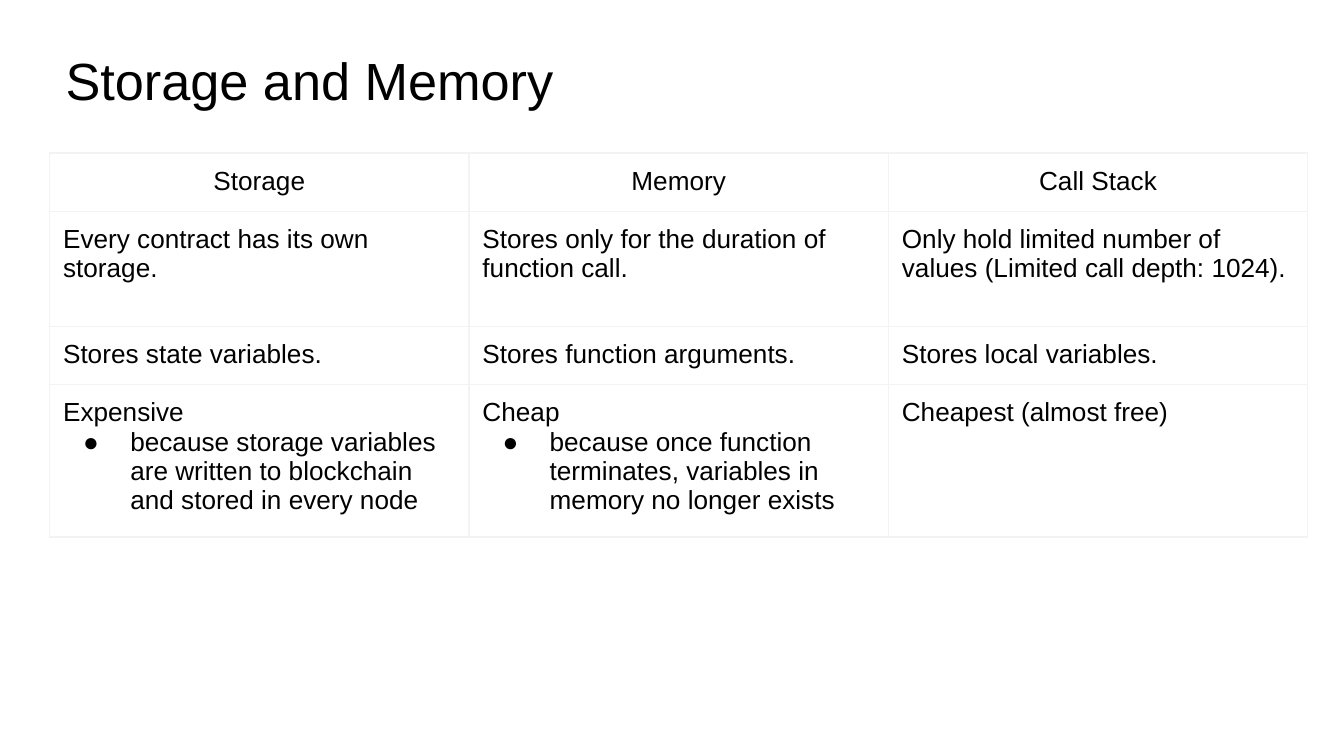
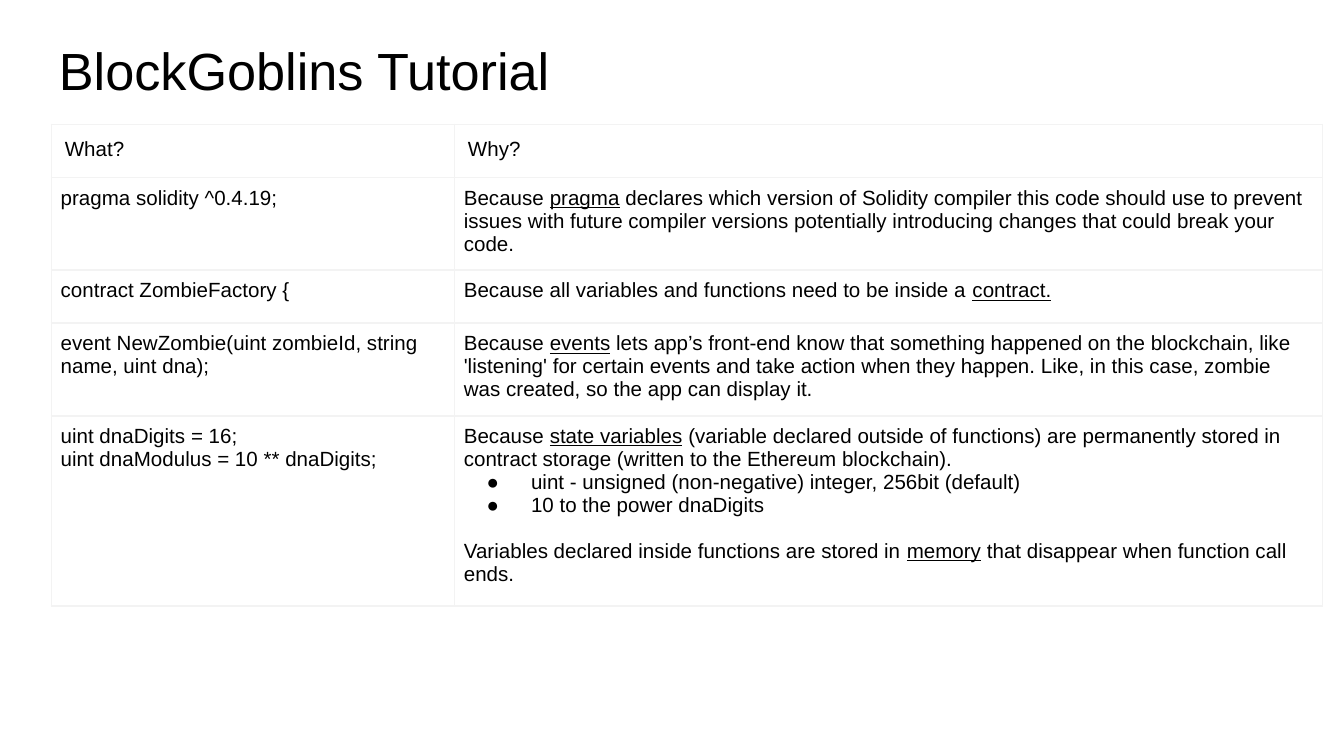
from lxml import etree
from pptx import Presentation
from pptx.dml.color import RGBColor
from pptx.enum.text import MSO_ANCHOR, PP_ALIGN
from pptx.oxml.ns import qn
from pptx.util import Pt

LEFT, CENTER, TOP = PP_ALIGN.LEFT, PP_ALIGN.CENTER, MSO_ANCHOR.TOP
BLACK = RGBColor(0, 0, 0)
WHITE = RGBColor(255, 255, 255)
GREY = RGBColor(0xF3, 0xF3, 0xF3)
FONT = "Arial"
BULLET, GAP = "● ", "^ "

# Content: _word_ is underlined, BULLET opens a list item,
# GAP opens a paragraph set off from the one above, \n breaks a line
SLIDES = [
    dict(
        title="Storage and Memory", spot=(28.1, 15.8),
        table=(26.6, 82), cols=[224.7] * 3, tall=[30, 61.6, 30, 77.7],
        size=14, hang=25.2, pad=7.2, head=CENTER, line=0.75,
        rows=[
            ["Storage", "Memory", "Call Stack"],
            ["Every contract has its own storage.",
             "Stores only for the duration of function call.",
             "Only hold limited number of values (Limited call depth: 1024)."],
            ["Stores state variables.", "Stores function arguments.",
             "Stores local variables."],
            [("Expensive",
              "● because storage variables are written to blockchain "
              "and stored in every node"),
             ("Cheap",
              "● because once function terminates, variables in memory "
              "no longer exists"),
             "Cheapest (almost free)"],
        ]),
    dict(
        title="BlockGoblins Tutorial", spot=(24.5, 10.5),
        table=(27.5, 66.7), cols=[216, 465], tall=[28.4, 47.4, 28.4, 46.6, 98.6],
        size=11, hang=23.8, pad=5, head=LEFT, line=1,
        rows=[
            ["What?", "Why?"],
            ["pragma solidity ^0.4.19;",
             "Because _pragma_ declares which version of Solidity compiler this "
             "code should use to prevent issues with future compiler versions "
             "potentially introducing changes that could break your code."],
            ["contract ZombieFactory {",
             "Because all variables and functions need to be inside a _contract._"],
            ["event NewZombie(uint zombieId, string name, uint dna);",
             "Because _events_ lets app’s front-end know that something happened "
             "on the blockchain, like 'listening' for certain events and take "
             "action when they happen. Like, in this case, zombie was created, "
             "so the app can display it."],
            ["uint dnaDigits = 16;\nuint dnaModulus = 10 ** dnaDigits;",
             ("Because _state variables_ (variable declared outside of functions) "
              "are permanently stored in contract storage (written to the "
              "Ethereum blockchain).",
              "● uint - unsigned (non-negative) integer, 256bit (default)",
              "● 10 to the power dnaDigits",
              "^ Variables declared inside functions are stored in _memory_ that "
              "disappear when function call ends.")],
        ]),
]
HEAD_PAD, HEAD_LINE = 7.2, 0.75


def add_bullet(par, hang):
    props = par._p.get_or_add_pPr()
    props.set("marL", str(Pt(36)))
    props.set("indent", str(-Pt(hang)))
    tint = etree.SubElement(props, qn("a:buClr"))
    etree.SubElement(tint, qn("a:srgbClr"), val=str(BLACK))
    etree.SubElement(props, qn("a:buFont"), typeface=FONT)
    etree.SubElement(props, qn("a:buChar"), char=BULLET.strip())


def put_text(frame, text, size=14, align=LEFT, hang=0):
    items = [text] if isinstance(text, str) else text
    for i, item in enumerate(items):
        par = frame.add_paragraph() if i else frame.paragraphs[0]
        if item.startswith(BULLET):
            add_bullet(par, hang)
        elif item.startswith(GAP):
            par.space_before = Pt(size * 1.15)
        par.alignment = align
        item = item.removeprefix(BULLET).removeprefix(GAP)
        for j, line in enumerate(item.split("\n")):
            if j:
                par.add_line_break()
            for k, part in enumerate(line.split("_")):
                if not part:
                    continue
                run = par.add_run()
                run.text = part
                font = run.font
                font.name, font.size = FONT, Pt(size)
                font.color.rgb = BLACK
                if k % 2:
                    font.underline = True


def set_edges(cell, widths):
    props = cell._tc.get_or_add_tcPr()
    for side, width in zip("LRTB", widths):
        edge = etree.SubElement(props, qn("a:ln" + side), w=str(Pt(width)))
        fill = etree.SubElement(edge, qn("a:solidFill"))
        etree.SubElement(fill, qn("a:srgbClr"), val=str(GREY))


def add_title(slide, text, spot):
    box = slide.shapes.add_textbox(*map(Pt, spot), Pt(671), Pt(45.4))
    frame = box.text_frame
    frame.word_wrap = True
    frame.vertical_anchor = TOP
    frame.margin_left = frame.margin_right = frame.margin_bottom = Pt(7.2)
    frame.margin_top = Pt(10)
    put_text(frame, text, size=28)


def add_grid(slide, data):
    rows, cols, tall = data["rows"], data["cols"], data["tall"]
    grid = slide.shapes.add_table(
        len(rows), len(cols), *map(Pt, data["table"]),
        Pt(sum(cols)), Pt(sum(tall))).table
    grid.first_row = grid.horz_banding = False
    for col, width in zip(grid.columns, cols):
        col.width = Pt(width)
    for r, row in enumerate(rows):
        grid.rows[r].height = Pt(tall[r])
        pad = data["pad"] if r else HEAD_PAD
        line = data["line"] if r else HEAD_LINE
        for c, text in enumerate(row):
            cell = grid.cell(r, c)
            cell.margin_left = cell.margin_right = Pt(pad)
            cell.margin_top = cell.margin_bottom = Pt(pad)
            cell.vertical_anchor = TOP
            set_edges(cell, [line] * 3 + [data["line"]])
            cell.fill.background()
            put_text(cell.text_frame, text, size=data["size"],
                     align=LEFT if r else data["head"], hang=data["hang"])


def main():
    deck = Presentation()
    deck.slide_width, deck.slide_height = Pt(720), Pt(405)
    for data in SLIDES:
        slide = deck.slides.add_slide(deck.slide_layouts[6])
        slide.background.fill.solid()
        slide.background.fill.fore_color.rgb = WHITE
        add_title(slide, data["title"], data["spot"])
        add_grid(slide, data)
    deck.save("out.pptx")


if __name__ == "__main__":
    main()
